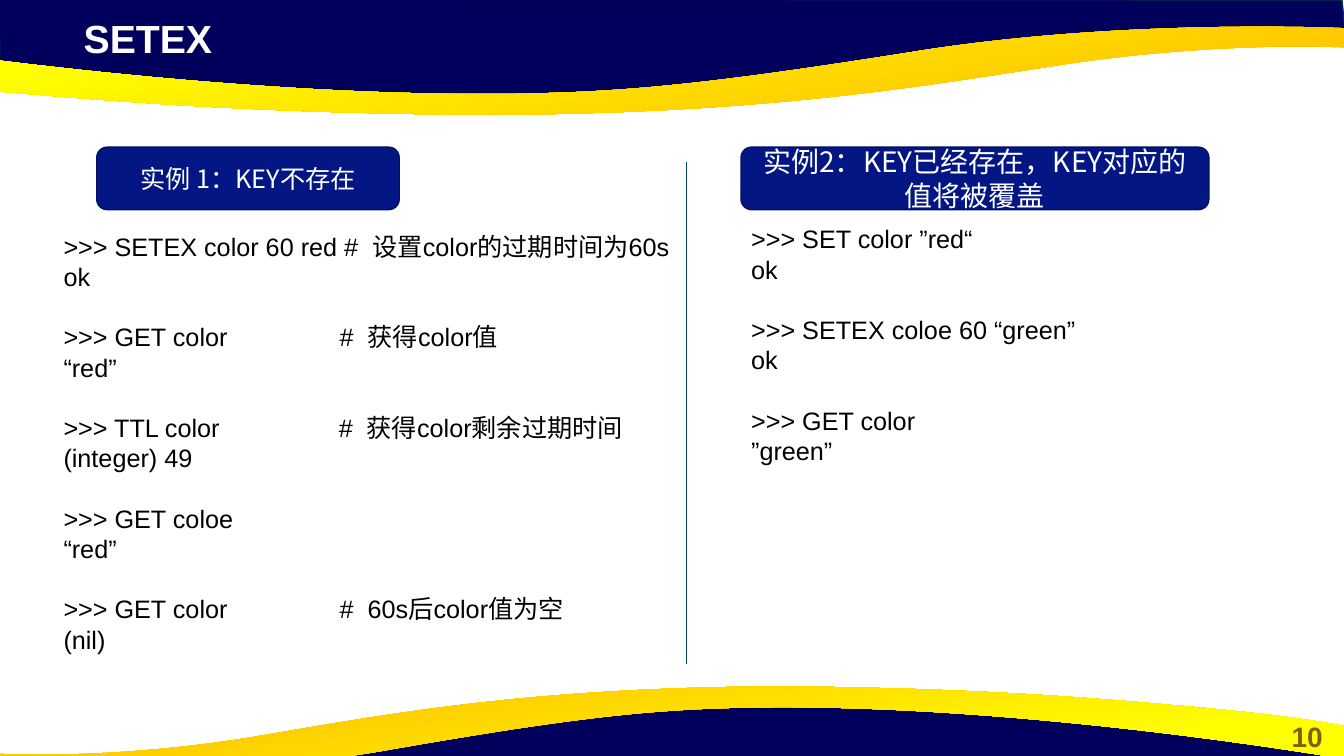
from dataclasses import dataclass

from lxml import etree
from pptx import Presentation
from pptx.dml.color import RGBColor
from pptx.enum import shapes, text
from pptx.oxml import ns
from pptx.util import Inches, Pt

NAVY, PILL, ORANGE, YELLOW = "00005C", "031684", "FFC000", "FFFF00"
CJK = "Noto Sans CJK SC"
LINE_HEIGHT = Pt(21.6)
SPACE_WIDTH = 5  # points, for a space at 18 pt

Point = tuple[float, float]
Box = tuple[float, float, float, float]
Line = list[str | int]  # words, and gaps counted in space widths

NAVY_EDGES: list[list[Point]] = [[p] for p in (
    (-0.01, -0.01), (0, 0.7), (2.93, 1.02), (5.59, 1), (7.95, 0.88),
    (10.16, 0.5), (12.38, 0.33), (13.35, 0.38), (13.31, 0),
)]
# Each edge is a straight line (one point) or a cubic curve (three points).
GOLD_EDGES: list[list[Point]] = [
    [(4.83, 1.14)],
    [(4.43, 1.14), (4.01, 1.13), (3.56, 1.12)],
    [(2.06, 1.08), (1.1, 1), (0.36, 0.94)],
    [(-0.88, 0.84), (-1.3, 0.75), (-1.33, 0.75)],
    [(-1.33, 0.42), (-1.33, 0.42), (-1.33, 0.42)],
    [(-1.33, 0.42), (2.18, 0.98), (5.17, 0.93)],
    [(6.26, 0.91), (7.08, 0.83), (9.15, 0.5)],
    [(11.21, 0.18), (13.33, 0.28), (13.33, 0.28)],
    [(13.33, 0.32)],
    [(13.33, 0.47)],
    [(13.3, 0.47)],
    [(13.05, 0.46), (11.95, 0.43), (10.55, 0.64)],
    [(9.18, 0.85), (7.62, 1.13), (4.83, 1.14)],
]


@dataclass
class Example:
    heading: str
    heading_size: float
    pill: Box
    body: Box
    commands: list[list[Line]]


EXAMPLES = [
    Example("实例 1：KEY不存在", 18, (0.96, 1.46, 3, 0.62), (0.53, 2.24, 6.21, 4.34), [
        [[">>> SETEX color 60 red #", 2, "设置color的过期时间为60s"], ["ok"]],
        [[">>> GET color", 16, "#", 2, "获得color值"], ["“red”"]],
        [[">>> TTL color", 17, "#", 2, "获得color剩余过期时间"], ["(integer) 49"]],
        [[">>> GET coloe"], ["“red”"]],
        [[">>> GET color", 16, "#", 2, "60s后color值为空"], ["(nil)"]],
    ]),
    Example("实例2：KEY已经存在，KEY对应的值将被覆盖", 20, (7.35, 1.46, 4.64, 0.62),
            (7.35, 2.17, 3.48, 2.52), [
        [[">>> SET color ”red“"], ["ok"]],
        [[">>> SETEX coloe 60 “green”"], ["ok"]],
        [[">>> GET color"], ["”green”"]],
    ]),
]


def rgb(value: str) -> RGBColor:
    return RGBColor.from_string(value)


def place(sp, box: Box) -> None:
    sp.left, sp.top, sp.width, sp.height = map(Inches, box)


def write(p, content: str, *, size: float, color: str = "000000", font: str = "Arial",
          bold: bool = False, align=text.PP_ALIGN.LEFT, spacing: float = 0) -> None:
    p.alignment = align
    r = p.add_run()
    r.text = content
    r.font.size, r.font.bold, r.font.name = Pt(size), bold, font
    r.font.color.rgb = rgb(color)
    rPr = r.font._element
    etree.SubElement(rPr, ns.qn("a:ea"), typeface=CJK)
    if spacing:
        rPr.set("spc", str(round(spacing * 100)))


def turn(edges: list[list[Point]], x0: float, y0: float,
         x_scale: float = 1) -> list[list[Point]]:
    """Turn a top wave upside down for the foot of the slide."""
    return [[(x0 - x_scale * x, y0 - y) for x, y in edge] for edge in edges]


def outline(s, edges: list[list[Point]]):
    """Draw a closed outline, joining each three-point edge into a cubic curve."""
    points = [(Inches(x), Inches(y)) for edge in edges for x, y in edge]
    builder = s.shapes.build_freeform(*points[0])
    builder.add_line_segments(points[1:], close=True)
    sp = builder.convert_to_shape()
    sp.shadow.inherit = False
    segments = iter(list(sp.element.iter(ns.qn("a:lnTo"))))
    for edge in edges[1:]:
        parts = [next(segments) for _ in edge]
        if len(parts) == 3:
            curve = etree.Element(ns.qn("a:cubicBezTo"))
            parts[0].addprevious(curve)
            for part in parts:
                curve.append(part[0])
                part.getparent().remove(part)
    return sp


def add_navy(s, edges: list[list[Point]]) -> None:
    sp = outline(s, edges)
    sp.fill.solid()
    sp.fill.fore_color.rgb = rgb(NAVY)
    sp.line.color.rgb = rgb("05304F")
    sp.line.width = Pt(1)


def add_gold(s, edges: list[list[Point]], angle: float) -> None:
    sp = outline(s, edges)
    sp.fill.gradient()
    sp.fill.gradient_angle = angle
    for stop, position, color in zip(sp.fill.gradient_stops, (0.11, 0.78), (ORANGE, YELLOW)):
        stop.position = position
        stop.color.rgb = rgb(color)
    sp.line.fill.background()


def add_pill(s, example: Example) -> None:
    sp = s.shapes.add_shape(shapes.MSO_SHAPE.ROUNDED_RECTANGLE, *map(Inches, example.pill))
    sp.shadow.inherit = False
    sp.fill.solid()
    sp.fill.fore_color.rgb = rgb(PILL)
    sp.line.color.rgb = rgb("021062")
    sp.line.width = Pt(1)
    tf = sp.text_frame
    tf.word_wrap = True
    tf.vertical_anchor = text.MSO_ANCHOR.MIDDLE
    write(tf.paragraphs[0], example.heading, size=example.heading_size, color="FFFFFF",
          font=CJK, align=text.PP_ALIGN.CENTER)


def fill_body(sp, example: Example) -> None:
    place(sp, example.body)
    tf = sp.text_frame
    tf.word_wrap, tf.auto_size = True, text.MSO_AUTO_SIZE.NONE
    tf.vertical_anchor = text.MSO_ANCHOR.TOP
    for g, command in enumerate(example.commands):
        for i, line in enumerate(command):
            p = tf.paragraphs[0] if g == i == 0 else tf.add_paragraph()
            p.line_spacing, p.space_after = LINE_HEIGHT, Pt(0)
            p.space_before = LINE_HEIGHT if g and i == 0 else Pt(0)
            for part in line:
                if isinstance(part, int):
                    write(p, " ", size=18, spacing=(part - 1) * SPACE_WIDTH)
                else:
                    write(p, part, size=18)
            pPr = p._p.get_or_add_pPr()
            pPr.set("marL", "0")
            pPr.set("indent", "0")
            etree.SubElement(pPr, ns.qn("a:buNone"))


def add_divider(s) -> None:
    line = s.shapes.add_connector(shapes.MSO_CONNECTOR.STRAIGHT,
                                  *map(Inches, (6.81, 1.61, 6.81, 6.59)))
    line.line.color.rgb = rgb("07416B")
    line.line.width = Pt(0.5)
    etree.SubElement(line.element.spPr, ns.qn("a:effectLst"))


def main() -> None:
    prs = Presentation()
    prs.slide_width, prs.slide_height = Inches(13.33), Inches(7.5)
    s = prs.slides.add_slide(prs.slide_layouts[3])
    title, *bodies = s.placeholders

    add_navy(s, NAVY_EDGES)
    add_gold(s, GOLD_EDGES, 100)
    add_navy(s, turn(NAVY_EDGES, 13.32, 7.93))
    add_gold(s, turn(GOLD_EDGES, 12.12, 7.95, 0.91), 280)

    number = s.shapes.add_textbox(*map(Inches, (12.6, 7.09, 0.73, 0.44)))
    number.text_frame.word_wrap = True
    write(number.text_frame.paragraphs[0], "10", size=20, color="806000", bold=True,
          align=text.PP_ALIGN.CENTER)

    place(title, (0.73, 0.09, 7.68, 0.57))
    title.text_frame.auto_size = text.MSO_AUTO_SIZE.NONE
    write(title.text_frame.paragraphs[0], "SETEX", size=28, color="FFFFFF", bold=True)
    s.shapes.element.append(title.element)

    add_divider(s)
    for example, body in zip(EXAMPLES, bodies):
        add_pill(s, example)
        fill_body(body, example)
        s.shapes.element.append(body.element)
    prs.save("out.pptx")


if __name__ == "__main__":
    main()
